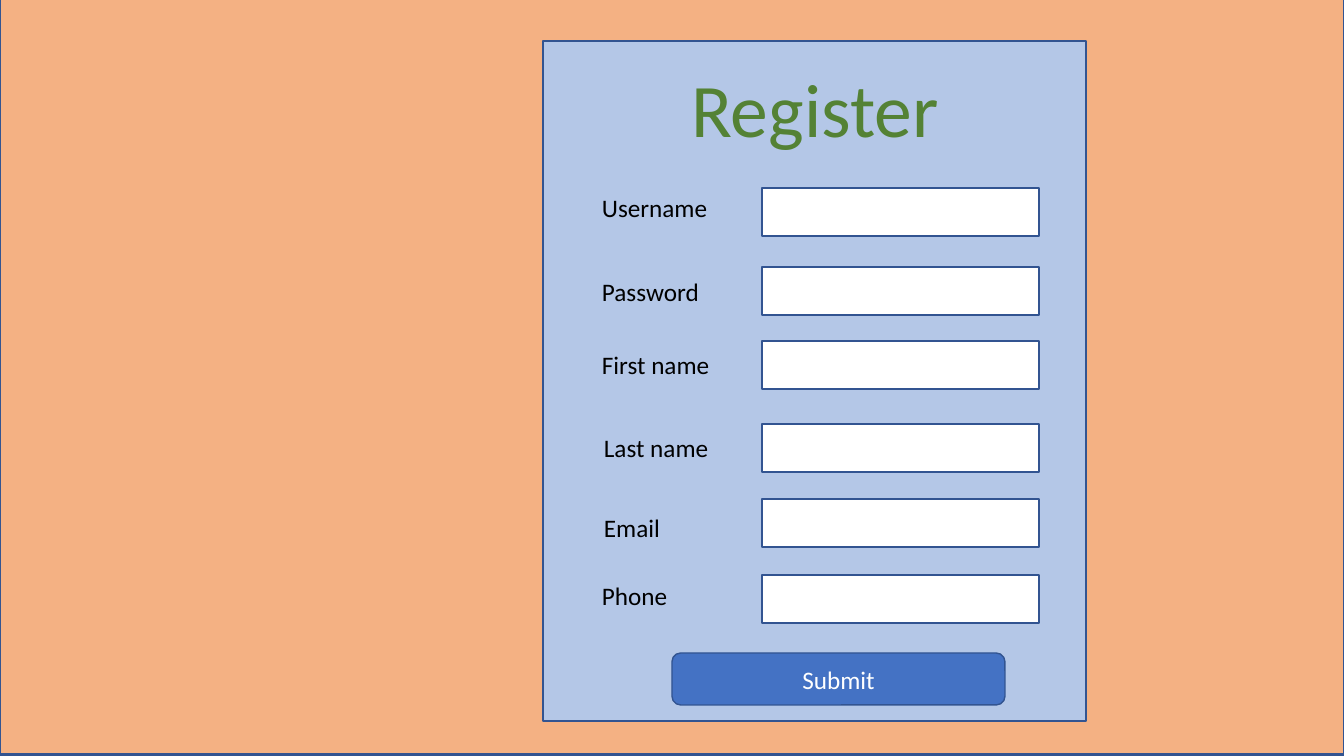
import pptx
import pptx.util
import pptx.dml.color
import pptx.enum.shapes
import pptx.enum.text

PX = 914400 / 100.8
WIDE, HIGH = 1344, 756
HUES = {
    "base": "595959", "back": "F4B183", "panel": "B4C7E7", "field": "FFFFFF",
    "button": "4472C4", "edge": "325491", "title": "548235",
    "label": "000000", "submit": "FFFFFF",
}
KIND = pptx.enum.shapes.MSO_SHAPE
ALIGN = pptx.enum.text.PP_ALIGN
ANCHOR = pptx.enum.text.MSO_ANCHOR

# Label, label left, label top, field top: all relative to the panel
ROWS = [
    ("Username", 49, 146, 147),
    ("Password", 49, 230, 226),
    ("First name", 49, 303, 300),
    ("Last name", 51, 386, 383),
    ("Email", 51, 466, 458),
    ("Phone", 49, 534, 534),
]


def emu(px):
    return pptx.util.Emu(round(px * PX))


def hue(name):
    return pptx.dml.color.RGBColor.from_string(HUES[name])


def block(slide, box, fill, kind=KIND.RECTANGLE):
    shape = slide.shapes.add_shape(kind, *map(emu, box))
    shape.shadow.inherit = False
    shape.fill.solid()
    shape.fill.fore_color.rgb = hue(fill)
    shape.line.color.rgb = hue("edge")
    shape.line.width = pptx.util.Pt(1)
    return shape


def write(shape, text, size, color, align, anchor):
    frame = shape.text_frame
    frame.word_wrap = True
    frame.vertical_anchor = anchor
    frame.text = text
    para = frame.paragraphs[0]
    para.alignment = align
    para.font.name = "Calibri"
    para.font.size = pptx.util.Pt(size)
    para.font.color.rgb = hue(color)


def heading(slide, box):
    title = slide.shapes.title
    title.left, title.top, title.width, title.height = map(emu, box)
    write(title, "Register", 54, "title", ALIGN.CENTER, ANCHOR.TOP)
    # Bring the title in front of the panel
    slide.shapes._spTree.append(title._element)


def backdrop(slide, box):
    left, top, width, height = box
    block(slide, box, "base")
    block(slide, (left, top - 2, width, height), "back")


def form(slide, box):
    left, top, width, height = box
    block(slide, box, "panel")
    # Labels and fields
    for text, inset, drop, field in ROWS:
        block(slide, (left + 219, top + field, 277, 48), "field")
        label = slide.shapes.add_textbox(
            *map(emu, (left + inset, top + drop, 156, 40)))
        write(label, text, 18, "label", ALIGN.LEFT, ANCHOR.TOP)
    # Submit button
    button = block(slide, (left + 129, top + 612, 333, 52), "button",
                   KIND.ROUNDED_RECTANGLE)
    write(button, "Submit", 18, "submit", ALIGN.CENTER, ANCHOR.MIDDLE)
    heading(slide, (left + 28, top + 16, width - 55, 102))


deck = pptx.Presentation()
deck.slide_width, deck.slide_height = emu(WIDE), emu(HIGH)
page = deck.slides.add_slide(deck.slide_layouts.get_by_name("Title Only"))
backdrop(page, (0, 0, WIDE, HIGH))
form(page, (543, 41, 543, 680))
deck.save("out.pptx")
